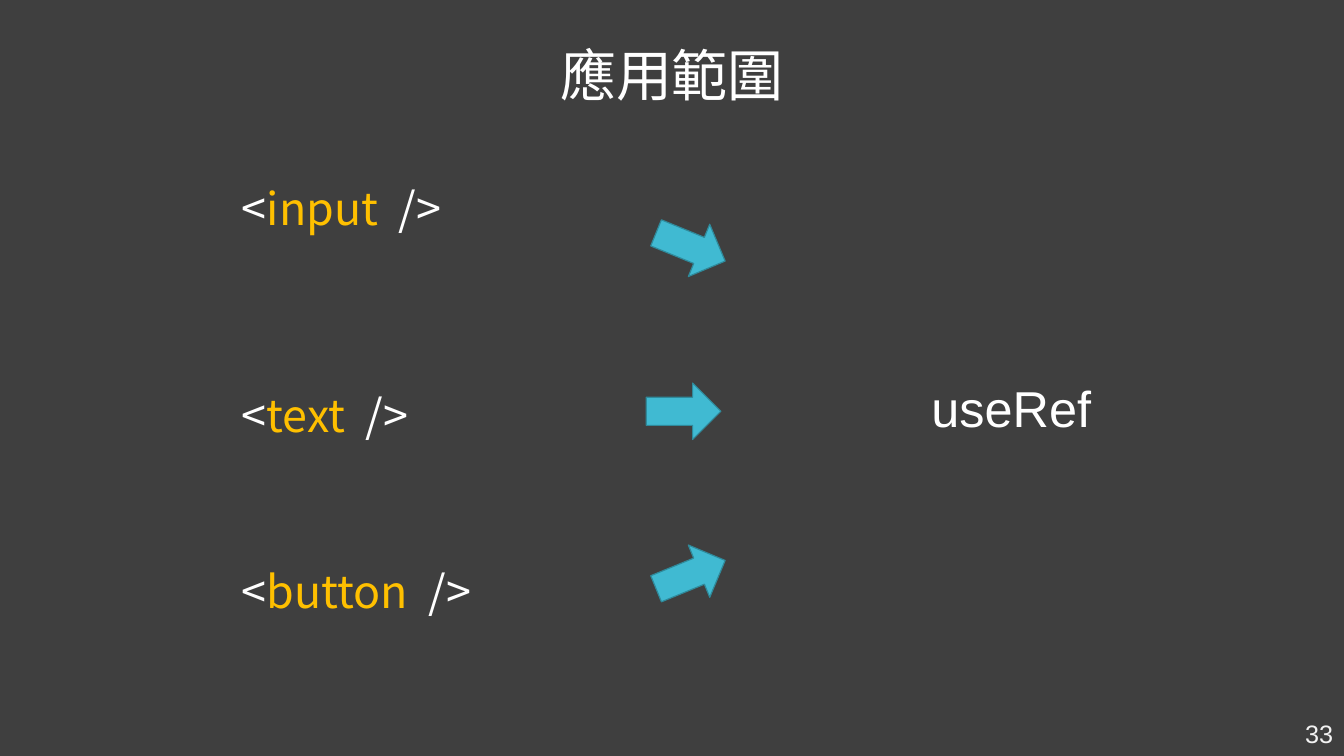
from lxml import etree
from pptx import Presentation
from pptx import util as u
from pptx.dml import color
from pptx.enum import shapes, text
from pptx.oxml import ns

WHITE, GOLD = "FFFFFF", "FFC000"
NOTO = "Noto Sans CJK SC"


def paint(code):
    """Turn a hex string into a colour."""
    return color.RGBColor.from_string(code)


def write(slide, box, runs, size, font, align=text.PP_ALIGN.LEFT):
    """Add a text box of coloured runs and return its frame."""
    frame = slide.shapes.add_textbox(*map(u.Inches, box)).text_frame
    frame.word_wrap = True
    para = frame.paragraphs[0]
    para.alignment = align
    for words, code in runs:
        run = para.add_run()
        run.text = words
        run.font.size = u.Pt(size)
        run.font.name = font
        run.font.color.rgb = paint(code)
        east = etree.SubElement(run.font._element, ns.qn("a:ea"))
        east.set("typeface", NOTO)
    return frame


def title(slide, words):
    """Add the centred slide title."""
    frame = write(slide, (0, 0.47, 13.33, 0.61), [(words, WHITE)], 40, "Cabin",
                  text.PP_ALIGN.CENTER)
    frame.vertical_anchor = text.MSO_ANCHOR.MIDDLE
    para = frame.paragraphs[0]
    para.line_spacing = 0.9
    para.space_before = u.Pt(12)


def hook(slide, name):
    """Add the hook name on one line in a box that fits it."""
    frame = write(slide, (9.14, 3.69, 1.8, 0.71), [(name, WHITE)], 36, "Arial")
    frame.word_wrap = False
    frame.auto_size = text.MSO_AUTO_SIZE.SHAPE_TO_FIT_TEXT


def tag(slide, top, name):
    """Add an element tag with its name in gold."""
    runs = [("<", WHITE), (name, GOLD), ("  />", WHITE)]
    frame = write(slide, (2.3, top, 3.72, 0.64), runs, 32, NOTO)
    frame.auto_size = text.MSO_AUTO_SIZE.SHAPE_TO_FIT_TEXT


def arrow(slide, left, top, turn):
    """Add a block arrow turned towards the hook."""
    box = map(u.Inches, (left, top, 0.56, 0.74))
    shape = slide.shapes.add_shape(shapes.MSO_SHAPE.DOWN_ARROW, *box)
    shape.rotation = turn
    shape.shadow.inherit = False
    shape.fill.solid()
    shape.fill.fore_color.rgb = paint("40BAD2")
    shape.line.color.rgb = paint("2F8A9B")
    shape.line.width = u.Pt(0.85)


def main():
    """Build the slide and save it."""
    deck = Presentation()
    deck.slide_width, deck.slide_height = u.Inches(13.33), u.Inches(7.5)
    slide = deck.slides.add_slide(deck.slide_layouts[6])
    slide.background.fill.solid()
    slide.background.fill.fore_color.rgb = paint("3F3F3F")

    write(slide, (11.65, 7.08, 1.67, 0.4), [("33", "F2F2F2")], 18, "Arial",
          text.PP_ALIGN.RIGHT)
    title(slide, "應用範圍")
    hook(slide, "useRef")
    for left, top, turn in ((6.57, 2.08, 292.2), (6.5, 3.71, 270),
                            (6.57, 5.33, 247.7)):
        arrow(slide, left, top, turn)
    for top, name in ((1.74, "input"), (3.8, "text"), (5.54, "button")):
        tag(slide, top, name)
    deck.save("out.pptx")


if __name__ == "__main__":
    main()
